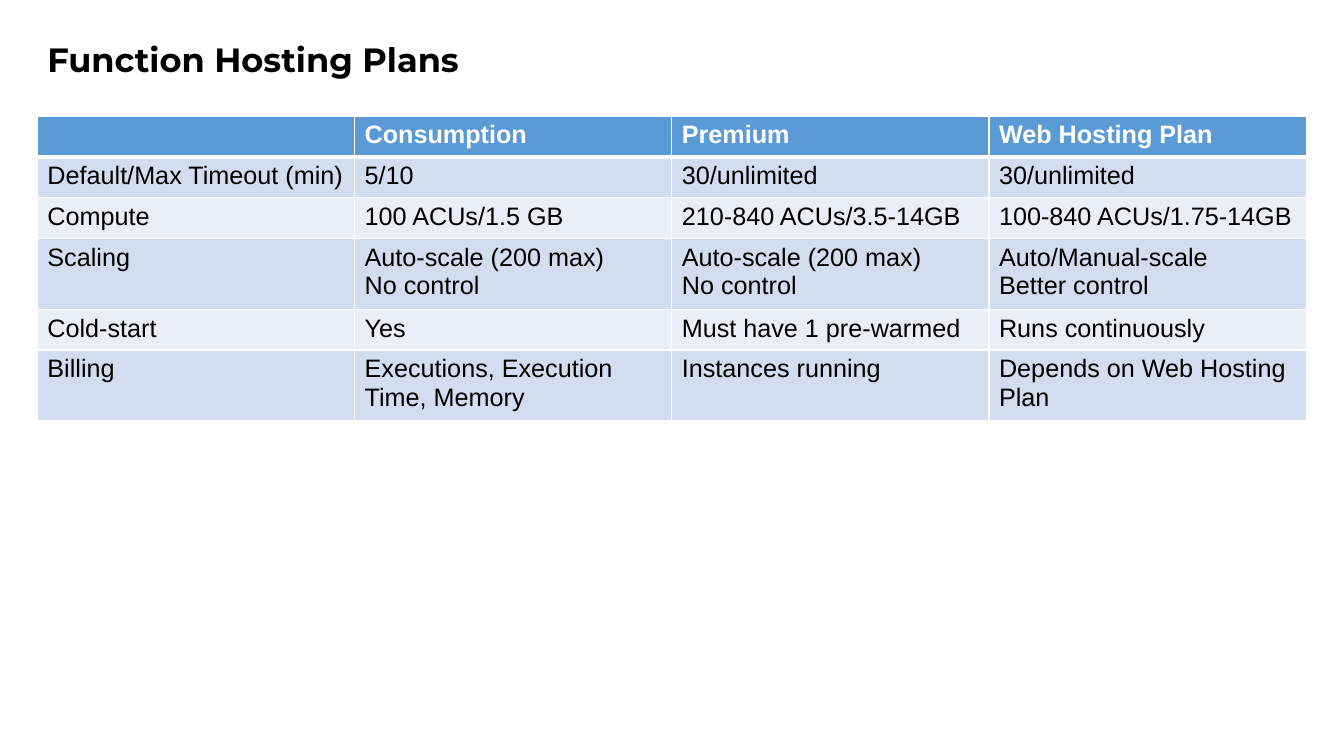
from dataclasses import dataclass

from lxml import etree
from pptx import Presentation
from pptx.dml.color import RGBColor
from pptx.enum.text import MSO_ANCHOR
from pptx.oxml.ns import qn
from pptx.util import Pt

MIDDLE = MSO_ANCHOR.MIDDLE
BLANK_LAYOUT = 6


@dataclass(frozen=True)
class Theme:
    title_font: str = "Montserrat"
    body_font: str = "Arial"
    title_size: float = 24
    body_size: float = 18
    text: str = "000000"
    header_text: str = "FFFFFF"
    header_fill: str = "5B9BD5"
    band_fills: tuple = ("D2DEEF", "EAEFF7")
    border: str = "FFFFFF"
    border_width: float = 1
    header_rule_width: float = 3


THEME = Theme()
LEFT = 26.7
CONTENT_WIDTH = 906.4
ROW_HEIGHT = 29.2

PLANS = [
    ["", "Consumption", "Premium", "Web Hosting Plan"],
    ["Default/Max Timeout (min)", "5/10", "30/unlimited", "30/unlimited"],
    ["Compute", "100 ACUs/1.5 GB", "210-840 ACUs/3.5-14GB", "100-840 ACUs/1.75-14GB"],
    ["Scaling", "Auto-scale (200 max)\nNo control",
     "Auto-scale (200 max)\nNo control", "Auto/Manual-scale \vBetter control"],
    ["Cold-start", "Yes", "Must have 1 pre-warmed", "Runs continuously"],
    ["Billing", "Executions, Execution Time, Memory", "Instances running",
     "Depends on Web Hosting Plan"],
]


def write_text(text_frame, text, color, **font_format):
    text_frame.text = text
    for paragraph in text_frame.paragraphs:
        for run in paragraph.runs:
            run.font.color.rgb = RGBColor.from_string(color)
            for name, value in font_format.items():
                setattr(run.font, name, value)


def add_title(slide, text):
    title = slide.shapes.add_textbox(Pt(LEFT), Pt(20.2), Pt(CONTENT_WIDTH), Pt(48.2))
    frame = title.text_frame
    frame.word_wrap = True
    frame.vertical_anchor = MIDDLE
    write_text(frame, text, THEME.text, name=THEME.title_font,
               size=Pt(THEME.title_size), bold=True)
    frame.paragraphs[0].line_spacing = 0.9


def set_borders(cell, widths):
    """Draw cell borders; widths maps the sides L, R, T, B to points, in that order."""
    properties = cell._tc.get_or_add_tcPr()
    for side, width in widths.items():
        line = etree.SubElement(properties, qn(f"a:ln{side}"), w=str(Pt(width)))
        fill = etree.SubElement(line, qn("a:solidFill"))
        etree.SubElement(fill, qn("a:srgbClr"), val=THEME.border)


def style_cell(cell, text, row_index):
    is_header = row_index == 0
    widths = dict.fromkeys("LRTB", THEME.border_width)
    if is_header:
        widths["B"] = THEME.header_rule_width
    elif row_index == 1:
        widths["T"] = THEME.header_rule_width
    set_borders(cell, widths)

    band = THEME.band_fills[(row_index - 1) % len(THEME.band_fills)]
    cell.fill.solid()
    cell.fill.fore_color.rgb = RGBColor.from_string(THEME.header_fill if is_header else band)
    write_text(cell.text_frame, text, THEME.header_text if is_header else THEME.text,
               name=THEME.body_font, size=Pt(THEME.body_size), bold=is_header)


def add_plan_table(slide, rows):
    frame = slide.shapes.add_table(len(rows), len(rows[0]), Pt(LEFT), Pt(82.8),
                                   Pt(CONTENT_WIDTH), Pt(ROW_HEIGHT * len(rows)))
    for row_index, values in enumerate(rows):
        for column_index, text in enumerate(values):
            style_cell(frame.table.cell(row_index, column_index), text, row_index)
    # Two-line rows grow beyond the minimum row height.
    frame.height = Pt(211)


def main():
    presentation = Presentation()
    presentation.slide_width = Pt(960)
    presentation.slide_height = Pt(540)
    slide = presentation.slides.add_slide(presentation.slide_layouts[BLANK_LAYOUT])
    add_title(slide, "Function Hosting Plans")
    add_plan_table(slide, PLANS)
    presentation.save("out.pptx")


if __name__ == "__main__":
    main()
